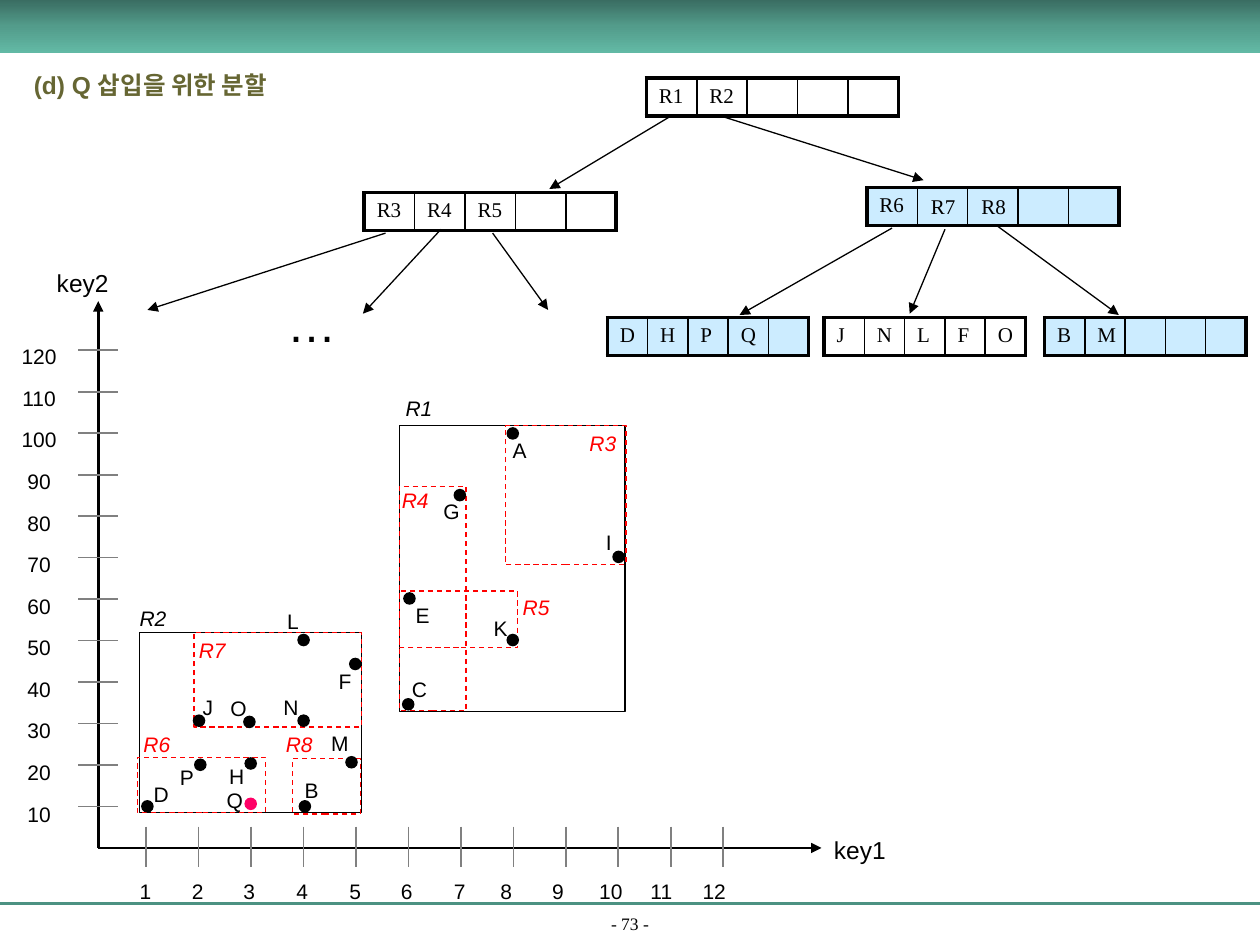
import copy
import lxml.etree
import pptx
import pptx.dml.color
import pptx.enum.dml
import pptx.enum.shapes
import pptx.enum.text
import pptx.oxml.ns
import pptx.util

RGBColor = pptx.dml.color.RGBColor
BLACK = RGBColor(0x00, 0x00, 0x00)
RED = RGBColor(0xFF, 0x00, 0x00)
PINK = RGBColor(0xFF, 0x00, 0x66)
GRAY = RGBColor(0x80, 0x80, 0x80)
OLIVE = RGBColor(0x66, 0x66, 0x33)
SKY = RGBColor(0xCC, 0xEC, 0xFF)
TEAL = RGBColor(0x4C, 0x92, 0x82)
BAND = [(0, RGBColor(0x3A, 0x6D, 0x62)), (0.5, RGBColor(0x53, 0x9C, 0x8B)),
        (1, RGBColor(0x62, 0xB9, 0xA5))]
SANS, SERIF = "Arial", "Times New Roman"
Pt = pptx.util.Pt
qn = pptx.oxml.ns.qn
ALIGN = pptx.enum.text.PP_ALIGN
ANCHOR = pptx.enum.text.MSO_ANCHOR
SHAPE = pptx.enum.shapes.MSO_SHAPE

# All places below are in inches.
# Tree nodes: left, top, column width, fill, entries
NODES = [
    (5.13, 0.62, 0.4, None, ["R1", "R2", "", "", ""]),
    (2.89, 1.53, 0.4, None, ["R3", "R4", "R5", "", ""]),
    (6.88, 1.49, 0.4, SKY, ["R6", "", "", "", ""]),
    (4.82, 2.52, 0.32, SKY, ["D", "H", "P", "Q", ""]),
    (6.54, 2.52, 0.32, None, ["J", "N", "L", "F", "O"]),
    (8.29, 2.52, 0.32, SKY, ["B", "M", "", "", ""]),
]
# Entries laid over the right node: name, left
ADDED = [("R7", 7.29), ("R8", 7.69)]
# Arrows from parent entry to child node
LINKS = [
    (5.31, 0.93, 4.36, 1.5), (5.75, 0.93, 7.33, 1.43),
    (3.06, 1.85, 1.17, 2.46), (3.5, 1.82, 2.88, 2.49),
    (3.91, 1.85, 4.35, 2.46), (7.08, 1.81, 5.87, 2.5),
    (7.5, 1.82, 7.22, 2.49), (7.91, 1.79, 8.88, 2.5),
]
# Points: name, dot left and top, label left, top and width
DOTS = [
    ("A", 4.02, 3.39, 3.97, 3.42, 0.31), ("C", 3.19, 5.54, 3.17, 5.32, 0.32),
    ("E", 3.2, 4.7, 3.2, 4.73, 0.31), ("G", 3.6, 3.88, 3.42, 3.91, 0.33),
    ("K", 4.02, 5.03, 3.82, 4.84, 0.31), ("I", 4.86, 4.37, 4.71, 4.15, 0.25),
    ("B", 2.37, 6.35, 2.32, 6.12, 0.31), ("D", 1.12, 6.35, 1.12, 6.15, 0.32),
    ("H", 1.94, 6.01, 1.72, 6.01, 0.32), ("J", 1.53, 5.67, 1.51, 5.46, 0.28),
    ("L", 2.36, 5.03, 2.18, 4.78, 0.29), ("F", 2.77, 5.22, 2.59, 5.26, 0.3),
    ("M", 2.74, 6, 2.53, 5.75, 0.34), ("N", 2.36, 5.67, 2.15, 5.46, 0.32),
    ("O", 1.93, 5.68, 1.73, 5.47, 0.33), ("P", 1.54, 6.02, 1.33, 6.02, 0.31),
    ("Q", 1.94, 6.33, 1.7, 6.2, 0.33),
]
# Regions: name, colour, box, label left and top
AREAS = [
    ("R1", BLACK, (3.17, 3.38, 1.79, 2.27), 3.12, 3.09),
    ("R3", RED, (4.01, 3.38, 0.96, 1.1), 4.58, 3.37),
    ("R4", RED, (3.17, 3.86, 0.53, 1.78), 3.09, 3.82),
    ("R5", RED, (3.17, 4.69, 0.94, 0.45), 4.05, 4.67),
    ("R2", BLACK, (1.11, 5.02, 1.76, 1.43), 1.01, 4.76),
    ("R7", RED, (1.54, 5.02, 1.33, 0.75), 1.48, 5.01),
    ("R6", RED, (1.09, 6.01, 1.02, 0.44), 1.04, 5.76),
    ("R8", RED, (2.32, 6.02, 0.54, 0.44), 2.17, 5.76),
]
TICKS = 12
LEFT, RIGHT = 1.16, 5.74    # first and last tick on key1
LOW, HIGH = 6.4, 2.78       # first and last tick on key2
# Tab stops of the key1 numbers from 2 on
STOPS = [0.46, 0.87, 1.29, 1.71, 2.12, 2.54, 2.91, 3.32, 3.74, 4.14, 4.56]

deck = pptx.Presentation()


def cm(inch):
    return pptx.util.Cm(inch * 2.54)


deck.slide_width, deck.slide_height = cm(10), cm(7.5)
slide = deck.slides.add_slide(deck.slide_layouts[6])


def line(ends, color=BLACK, width=0.75, arrow=False):
    item = slide.shapes.add_connector(
        pptx.enum.shapes.MSO_CONNECTOR.STRAIGHT, *map(cm, ends))
    item.line.color.rgb = color
    item.line.width = Pt(width)
    if arrow:
        tail = lxml.etree.SubElement(item.line._get_or_add_ln(), qn("a:tailEnd"))
        tail.set("type", "triangle")
    lxml.etree.SubElement(item._element.spPr, qn("a:effectLst"))


def shape(kind, box, fill=None, edge=None):
    item = slide.shapes.add_shape(kind, *map(cm, box))
    item.shadow.inherit = False
    if fill is None:
        item.fill.background()
    else:
        item.fill.solid()
        item.fill.fore_color.rgb = fill
    if edge is None:
        item.line.fill.background()
    else:
        item.line.color.rgb = edge
        item.line.width = Pt(0.75)
    return item


def write(para, words, size=12, face=SANS, color=BLACK, bold=False, slant=False):
    run = para.add_run()
    run.text = words
    font = run.font
    font.size, font.name, font.bold, font.italic = Pt(size), face, bold, slant
    font.color.rgb = color


def text(box, rows, wrap=False, align=ALIGN.LEFT, space=None, **style):
    frame = slide.shapes.add_textbox(*map(cm, box)).text_frame
    frame.word_wrap = wrap
    for i, words in enumerate(rows):
        para = frame.add_paragraph() if i else frame.paragraphs[0]
        para.alignment = align
        para.line_spacing = space
        write(para, words, **style)
    return frame


def rim(cell, first, last):
    """Give a cell thick outer and thin inner borders."""
    sides = [("L", first), ("R", last), ("T", True), ("B", True)]
    for i, (side, thick) in enumerate(sides):
        edge = lxml.etree.Element(qn("a:ln" + side), w=str(Pt(2.25 if thick else 1)))
        fill = lxml.etree.SubElement(edge, qn("a:solidFill"))
        lxml.etree.SubElement(fill, qn("a:srgbClr"), val=str(BLACK))
        cell._tc.get_or_add_tcPr().insert(i, edge)


def node(left, top, wide, fill, words):
    count = len(words)
    box = (left, top, wide * count, 0.3)
    table = slide.shapes.add_table(1, count, *map(cm, box)).table
    table.first_row = table.horz_banding = False
    for i, word in enumerate(words):
        table.columns[i].width = cm(wide)
        cell = table.cell(0, i)
        if fill is None:
            cell.fill.background()
        else:
            cell.fill.solid()
            cell.fill.fore_color.rgb = fill
        rim(cell, i == 0, i == count - 1)
        para = cell.text_frame.paragraphs[0]
        if word:
            write(para, word, face=SERIF)
        else:
            lxml.etree.SubElement(para._p, qn("a:endParaRPr"), sz="1200")


# Page frame
line((0, 7.17, 10, 7.17), TEAL, 1.5)
foot = text((0, 7.24, 10, 0.22), ["- 73 -"], True, ALIGN.CENTER, size=10, face=SERIF)
foot.vertical_anchor = ANCHOR.BOTTOM
band = shape(SHAPE.RECTANGLE, (0, 0, 10, 0.42), TEAL)
band.fill.gradient()
band.fill.gradient_angle = 270
stops = band._element.spPr.find(".//" + qn("a:gsLst"))
stops.insert(1, copy.deepcopy(stops[0]))
for stop, (place, color) in zip(band.fill.gradient_stops, BAND):
    stop.position = place
    stop.color.rgb = color
text((0.17, 0.51, 2.51, 0.33), ["(d) Q 삽입을 위한 분할"], True,
     size=14, color=OLIVE, bold=True)

# Axes
line((0.78, 6.73, 6.52, 6.73), width=1.5, arrow=True)
line((0.78, 6.73, 0.78, 2.39), width=1.5, arrow=True)
for i in range(TICKS):
    x = LEFT + i * (RIGHT - LEFT) / (TICKS - 1)
    y = LOW + i * (HIGH - LOW) / (TICKS - 1)
    line((x, 6.56, x, 6.88), GRAY, 1)
    line((0.62, y, 0.94, y), GRAY, 1)
text((0.07, 2.55, 0.48, 4.06), [str(10 * n) for n in range(TICKS, 0, -1)],
     align=ALIGN.CENTER, space=1.65)
scale = text((1.01, 6.92, 4.91, 0.3),
             ["\t".join(str(n + 1) for n in range(TICKS))], True)
tabs = lxml.etree.SubElement(scale.paragraphs[0]._p.get_or_add_pPr(), qn("a:tabLst"))
for place in STOPS:
    lxml.etree.SubElement(tabs, qn("a:tab"), pos=str(cm(place)), algn="ctr")
text((6.52, 6.58, 0.82, 0.33), ["key1"], True, size=14)
text((0.14, 2.08, 0.82, 0.33), ["key2"], True, ALIGN.RIGHT, size=14)

# Regions and points
for name, color, box, x, y in AREAS:
    area = shape(SHAPE.RECTANGLE, box, edge=color)
    if color == RED:
        area.line.dash_style = pptx.enum.dml.MSO_LINE.DASH
    text((x, y, 0.41, 0.3), [name], color=color, slant=True)
for name, left, top, x, y, wide in DOTS:
    shape(SHAPE.OVAL, (left, top, 0.1, 0.1), PINK if name == "Q" else BLACK)
    text((x, y, wide, 0.3), [name])

# Tree
for item in NODES:
    node(*item)
for name, left in ADDED:
    text((left, 1.49, 0.4, 0.3), [name], face=SERIF)
for ends in LINKS:
    line(ends, arrow=True)
text((2.18, 2.28, 0.59, 0.57), ["…"], size=28)

deck.save("out.pptx")
